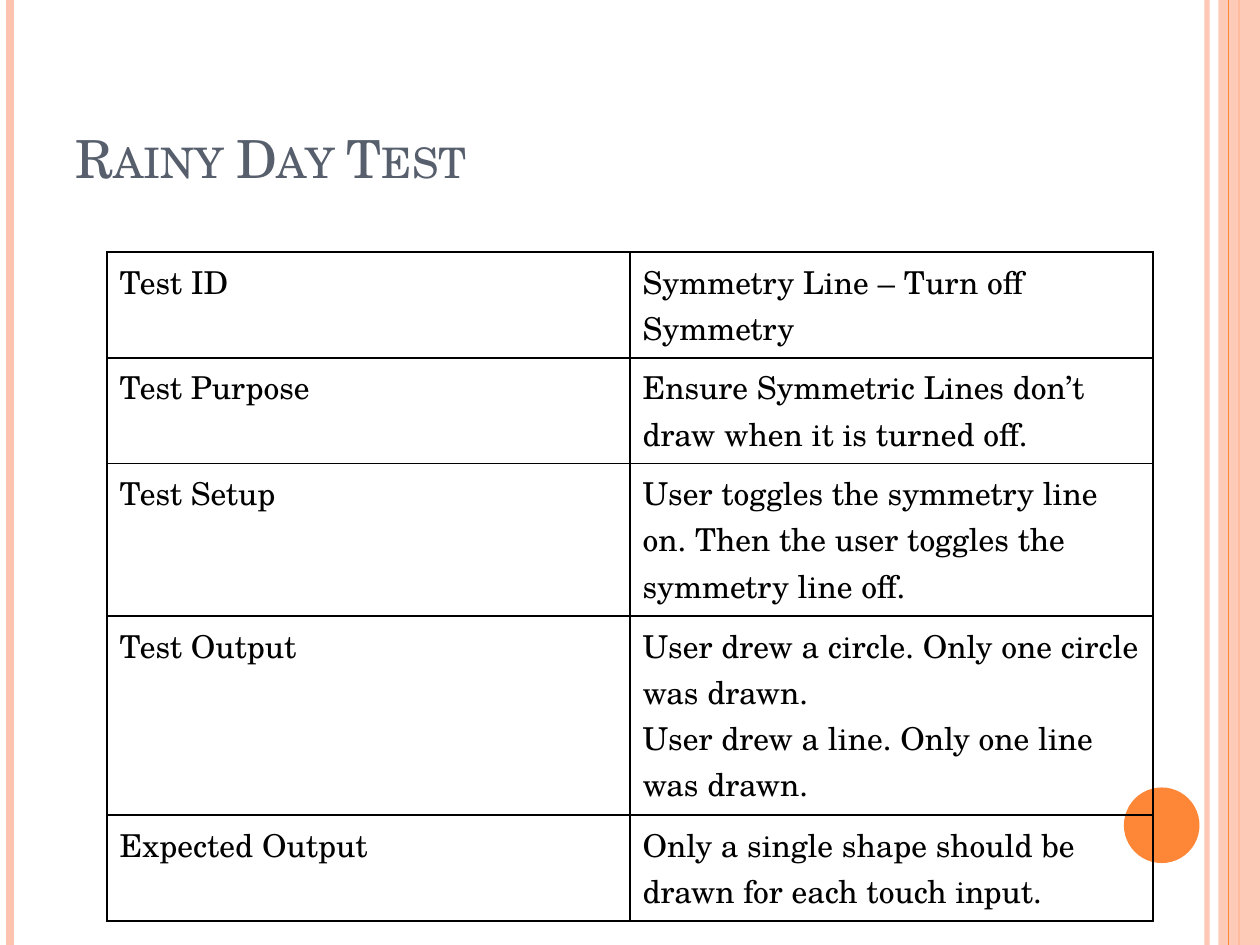
from dataclasses import dataclass

import pptx
import pptx.dml.color
import pptx.enum.shapes
import pptx.enum.text
import pptx.oxml
import pptx.oxml.ns
import pptx.util

WIDTH, HEIGHT = 10, 7.5
FONT = "TeX Gyre Schola"
PEACH, ORANGE, SLATE, BLACK = "FEC3AE", "FE8637", "575F6D", "000000"
TABLE_LEFT, TABLE_TOP, COLUMN_WIDTH = 0.85, 2, 4.15
LINE_HEIGHT, CELL_PADDING = 0.37, 0.1


@dataclass
class Stripe:
    x: float
    color: str
    points: float
    opacity: int = 100


@dataclass
class TestRow:
    label: str
    paragraphs: list[str]
    lines: int


EDGE_STRIPES = [Stripe(9.58, PEACH, 3, 93), Stripe(0.08, PEACH, 4.5)]
BAND_STRIPE = Stripe(9.83, ORANGE, 1.5)
FRONT_STRIPE = Stripe(9.75, ORANGE, 0.75)

TEST_ROWS = [
    TestRow("Test ID", ["Symmetry Line – Turn off Symmetry"], 2),
    TestRow("Test Purpose", ["Ensure Symmetric Lines don’t draw when it is turned off."], 2),
    TestRow("Test Setup", ["User toggles the symmetry line on. Then the user toggles "
                           "the symmetry line off."], 3),
    TestRow("Test Output", ["User drew a circle. Only one circle was drawn.",
                            "User drew a line. Only one line was drawn."], 4),
    TestRow("Expected Output", ["Only a single shape should be drawn for each touch input."], 2),
]


def rgb(color: str) -> pptx.dml.color.RGBColor:
    return pptx.dml.color.RGBColor.from_string(color)


def inches(*lengths: float) -> list[pptx.util.Emu]:
    return [pptx.util.Inches(length) for length in lengths]


def set_opacity(element, percent: int) -> None:
    color = next(element.iter(pptx.oxml.ns.qn("a:srgbClr")))
    alpha = color.makeelement(pptx.oxml.ns.qn("a:alpha"), {"val": str(percent * 1000)})
    color.append(alpha)


def add_stripe(slide, stripe: Stripe):
    connector = slide.shapes.add_connector(
        pptx.enum.shapes.MSO_CONNECTOR.STRAIGHT, *inches(stripe.x, 0, stripe.x, HEIGHT))
    connector.line.color.rgb = rgb(stripe.color)
    connector.line.width = pptx.util.Pt(stripe.points)
    properties = connector.element.spPr
    if stripe.opacity < 100:
        set_opacity(properties, stripe.opacity)
    properties.append(properties.makeelement(pptx.oxml.ns.qn("a:effectLst"), {}))
    return connector


def add_plain_shape(slide, kind, box: tuple, color: str):
    shape = slide.shapes.add_shape(kind, *inches(*box))
    shape.shadow.inherit = False
    shape.fill.solid()
    shape.fill.fore_color.rgb = rgb(color)
    shape.line.fill.background()
    return shape


def style_font(font, points: float, color: str) -> None:
    font.name = FONT
    font.size = pptx.util.Pt(points)
    font.color.rgb = rgb(color)


def add_title(slide, text: str) -> None:
    frame = slide.shapes.add_textbox(*inches(0.5, 0.3, 8.17, 1.25)).text_frame
    frame.word_wrap = True
    frame.vertical_anchor = pptx.enum.text.MSO_ANCHOR.BOTTOM
    paragraph = frame.paragraphs[0]
    run = paragraph.add_run()
    run.text = text
    style_font(run.font, 30, SLATE)
    run.font._element.set("cap", "small")


def add_borders(cell) -> None:
    properties = cell._tc.get_or_add_tcPr()
    for position, side in enumerate(("lnL", "lnR", "lnT", "lnB")):
        properties.insert(position, pptx.oxml.parse_xml(
            f'<a:{side} {pptx.oxml.ns.nsdecls("a")} w="12700"><a:solidFill>'
            f'<a:srgbClr val="{BLACK}"/></a:solidFill></a:{side}>'))


def fill_cell(cell, paragraphs: list[str]) -> None:
    cell.text = "\n".join(paragraphs)
    cell.fill.background()
    add_borders(cell)
    for paragraph in cell.text_frame.paragraphs:
        style_font(paragraph.font, 18, BLACK)


def add_test_table(slide, rows: list[TestRow]) -> None:
    heights = [row.lines * LINE_HEIGHT + CELL_PADDING for row in rows]
    table = slide.shapes.add_table(
        len(rows), 2, *inches(TABLE_LEFT, TABLE_TOP, 2 * COLUMN_WIDTH, sum(heights))).table
    table.first_row = table.horz_banding = False
    for column in table.columns:
        column.width = pptx.util.Inches(COLUMN_WIDTH)
    for index, (row, height) in enumerate(zip(rows, heights)):
        table.rows[index].height = pptx.util.Inches(height)
        fill_cell(table.cell(index, 0), [row.label])
        fill_cell(table.cell(index, 1), row.paragraphs)


def main() -> None:
    presentation = pptx.Presentation()
    presentation.slide_width, presentation.slide_height = inches(WIDTH, HEIGHT)
    slide = presentation.slides.add_slide(presentation.slide_layouts[6])
    shape_kind = pptx.enum.shapes.MSO_SHAPE

    # Side stripes, with the translucent band over its centre line
    for stripe in EDGE_STRIPES:
        add_stripe(slide, stripe)
    band = add_plain_shape(slide, shape_kind.RECTANGLE, (9.67, 0, 0.33, HEIGHT), PEACH)
    set_opacity(band.element.spPr, 87)
    centre_line = add_stripe(slide, BAND_STRIPE)
    centre_line.begin_connect(band, 0)
    centre_line.end_connect(band, 2)
    centre_line.element.addnext(band.element)
    add_stripe(slide, FRONT_STRIPE)

    # Corner dot
    add_plain_shape(slide, shape_kind.OVAL, (8.92, 6.25, 0.6, 0.6), ORANGE)

    # Title and test description
    add_title(slide, "Rainy Day Test")
    add_test_table(slide, TEST_ROWS)

    presentation.save("out.pptx")


if __name__ == "__main__":
    main()
